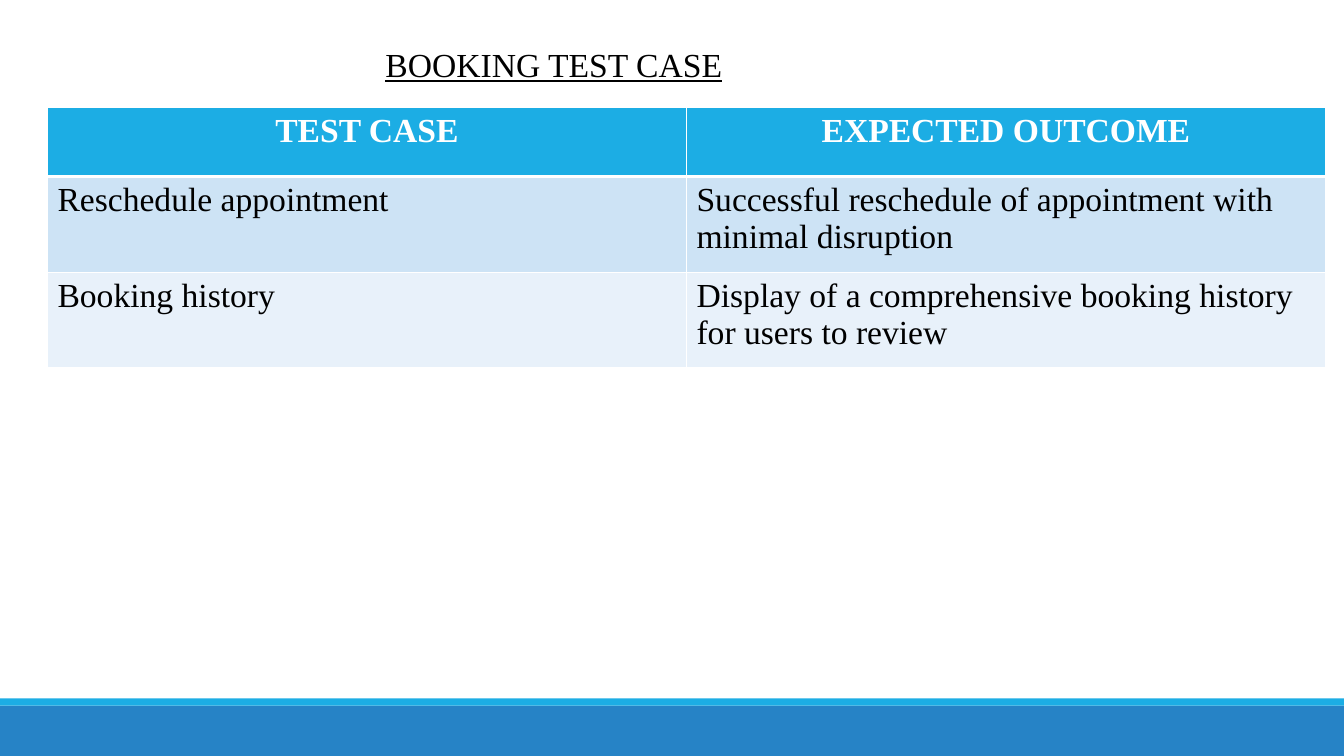
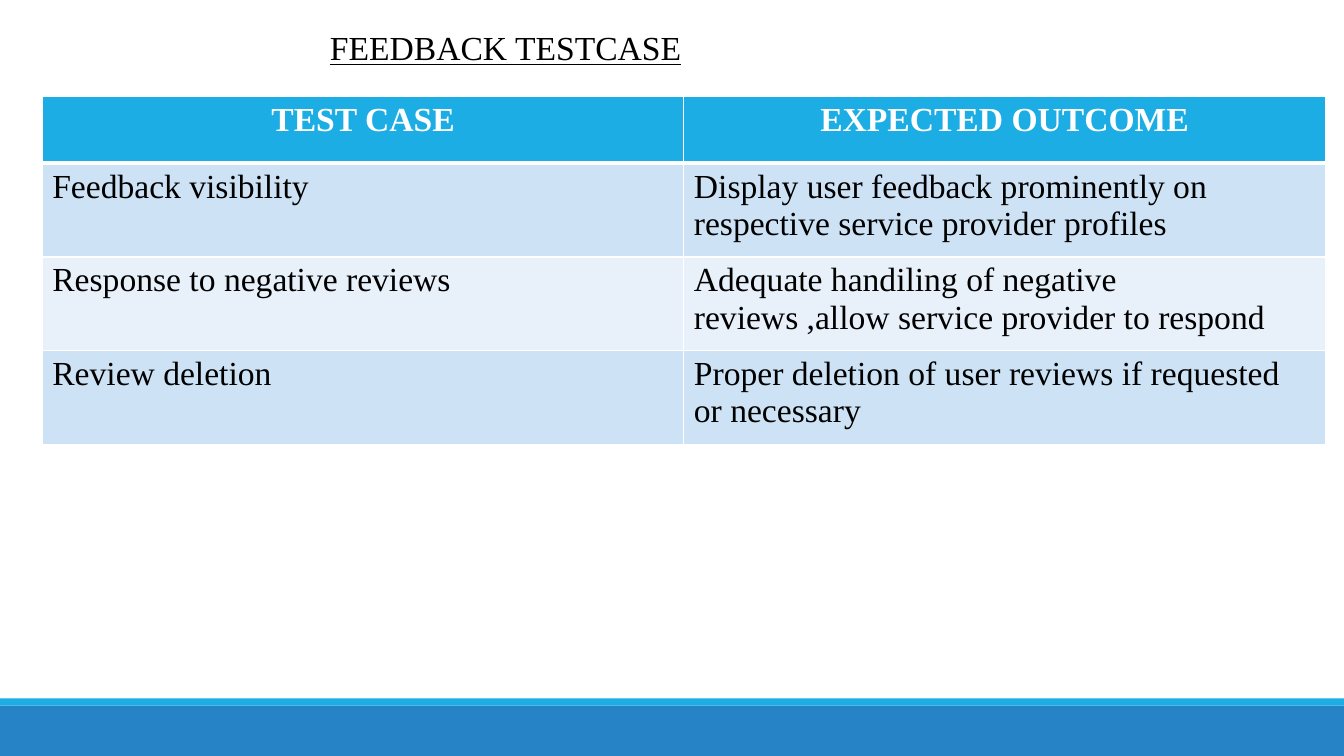
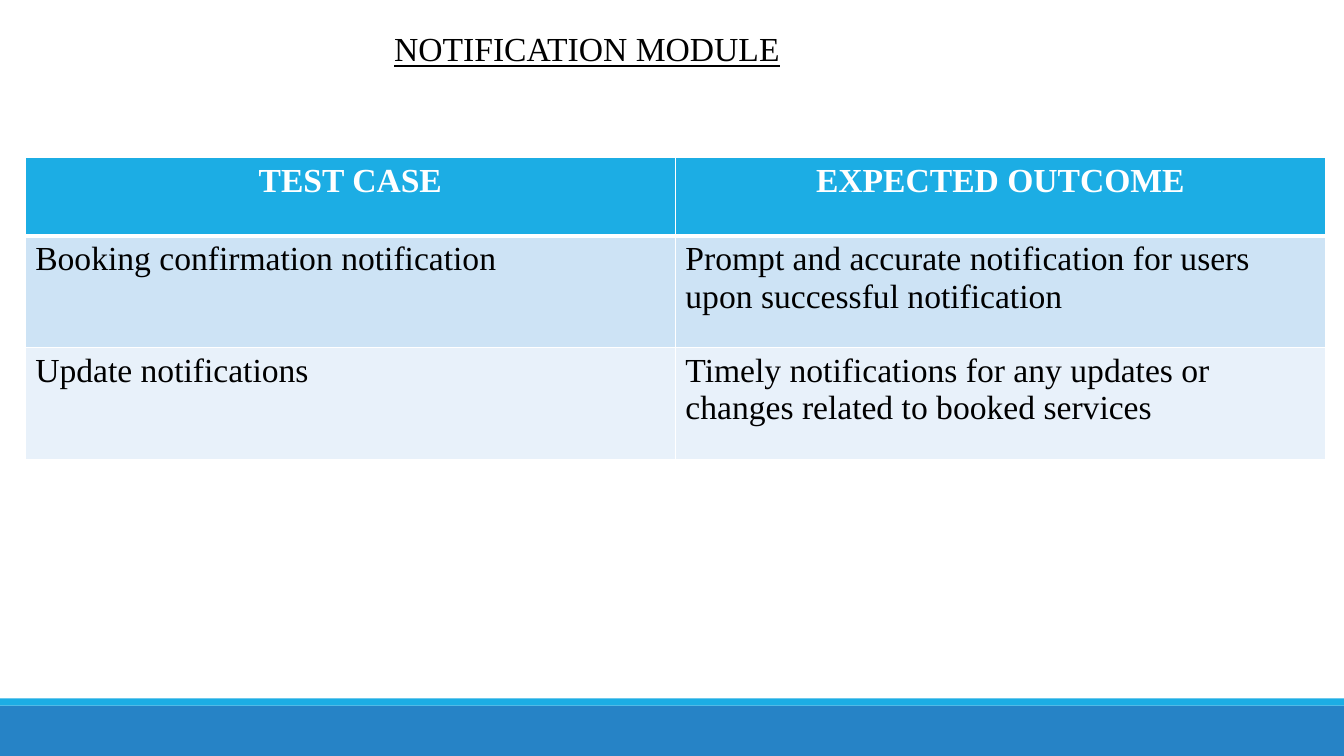
from lxml import etree
from pptx import Presentation
from pptx.dml.color import RGBColor
from pptx.enum import shapes, text
from pptx.oxml import ns
from pptx.util import Pt

FONT, SIZE = "Times New Roman", Pt(24)
BLACK = RGBColor(0x00, 0x00, 0x00)
WHITE = RGBColor(0xFF, 0xFF, 0xFF)
CYAN = RGBColor(0x1C, 0xAD, 0xE4)
BLUE = RGBColor(0x26, 0x83, 0xC6)
ROW_FILLS = (RGBColor(0xCD, 0xE3, 0xF5), RGBColor(0xE8, 0xF1, 0xFA))
SLIDE_W, SLIDE_H = 960, 540
TABLE_RIGHT = 946.8
INSET = 7.2
HEADER = ("TEST CASE", "EXPECTED OUTCOME")

# Boxes are (left, top, width, height); an indent of None centres the title.
# Each table has (left, top), the header height and the body row height.
SLIDES = [
    dict(title="BOOKING TEST CASE", box=(66.2, 27.4, 658.8, 58.3), indent=None,
         table_at=(33.9, 77), heights=(49, 68.4),
         cases=[
             ("Reschedule appointment",
              "Successful reschedule of appointment with minimal disruption"),
             ("Booking history",
              "Display of a comprehensive booking history for users to review"),
         ]),
    dict(title="FEEDBACK TESTCASE", box=(24.5, 15.8, 774.7, 36), indent=204,
         table_at=(30.2, 69.1), heights=(47.5, 67),
         cases=[
             ("Feedback visibility",
              "Display user feedback prominently on respective service provider profiles"),
             ("Response to negative reviews",
              "Adequate handiling of negative reviews ,allow service provider to respond"),
             ("Review deletion",
              "Proper deletion of user reviews if requested or necessary"),
         ]),
    dict(title="NOTIFICATION MODULE", box=(40.3, 16.6, 671.8, 36), indent=234,
         table_at=(18, 112.4), heights=(56.2, 79.9),
         cases=[
             ("Booking confirmation notification",
              "Prompt and accurate notification for users upon successful notification"),
             ("Update notifications",
              "Timely notifications for any updates or changes related to booked services"),
         ]),
]


def format_text(p, color, align, bold=False, underline=False):
    p.alignment = align
    for r in p.runs:
        f = r.font
        f.name, f.size, f.bold, f.underline = FONT, SIZE, bold, underline
        f.color.rgb = color


def add_bands(s):
    """Footer bands along the bottom edge."""
    for top, height, color in ((504, 36, BLUE), (498.8, 5.2, CYAN)):
        sp = s.shapes.add_shape(shapes.MSO_SHAPE.RECTANGLE,
                                0, Pt(top), Pt(SLIDE_W), Pt(height))
        sp.shadow.inherit = False
        sp.fill.solid()
        sp.fill.fore_color.rgb = color
        sp.line.fill.background()


def set_title(s, title, box, indent):
    sp = s.shapes.title
    sp.left, sp.top, sp.width, sp.height = map(Pt, box)
    tf = sp.text_frame
    tf.text = title
    tf.word_wrap = True
    tf.auto_size = text.MSO_AUTO_SIZE.NONE
    tf.vertical_anchor = text.MSO_ANCHOR.TOP
    tf.margin_left = Pt(INSET + (indent or 0))
    align = text.PP_ALIGN.CENTER if indent is None else text.PP_ALIGN.LEFT
    format_text(tf.paragraphs[0], BLACK, align, underline=True)


def set_borders(cell, top, bottom):
    """White cell borders; top and bottom are widths in points."""
    tc_pr = cell._tc.get_or_add_tcPr()
    for side, width in (("L", 1), ("R", 1), ("T", top), ("B", bottom)):
        ln = etree.SubElement(tc_pr, ns.qn(f"a:ln{side}"), w=str(Pt(width)))
        fill = etree.SubElement(ln, ns.qn("a:solidFill"))
        etree.SubElement(fill, ns.qn("a:srgbClr"), val=str(WHITE))


def add_case_table(s, at, heights, cases):
    left, top = at
    header_h, row_h = heights
    width = TABLE_RIGHT - left
    rows = [HEADER, *cases]
    table = s.shapes.add_table(len(rows), len(HEADER), Pt(left), Pt(top), Pt(width),
                               Pt(header_h + row_h * len(cases))).table
    for col in table.columns:
        col.width = Pt(width / len(HEADER))
    for i, values in enumerate(rows):
        is_header = i == 0
        table.rows[i].height = Pt(header_h if is_header else row_h)
        for j, value in enumerate(values):
            cell = table.cell(i, j)
            cell.text = value
            set_borders(cell, 3 if i == 1 else 1, 3 if is_header else 1)
            cell.fill.solid()
            cell.fill.fore_color.rgb = CYAN if is_header else ROW_FILLS[(i - 1) % 2]
            format_text(cell.text_frame.paragraphs[0],
                        WHITE if is_header else BLACK,
                        text.PP_ALIGN.CENTER if is_header else text.PP_ALIGN.LEFT,
                        bold=is_header)


def add_case_slide(prs, title, box, indent, table_at, heights, cases):
    s = prs.slides.add_slide(prs.slide_layouts[5])
    add_bands(s)
    set_title(s, title, box, indent)
    add_case_table(s, table_at, heights, cases)


def main():
    prs = Presentation()
    prs.slide_width, prs.slide_height = Pt(SLIDE_W), Pt(SLIDE_H)
    for content in SLIDES:
        add_case_slide(prs, **content)
    prs.save("out.pptx")


if __name__ == "__main__":
    main()
